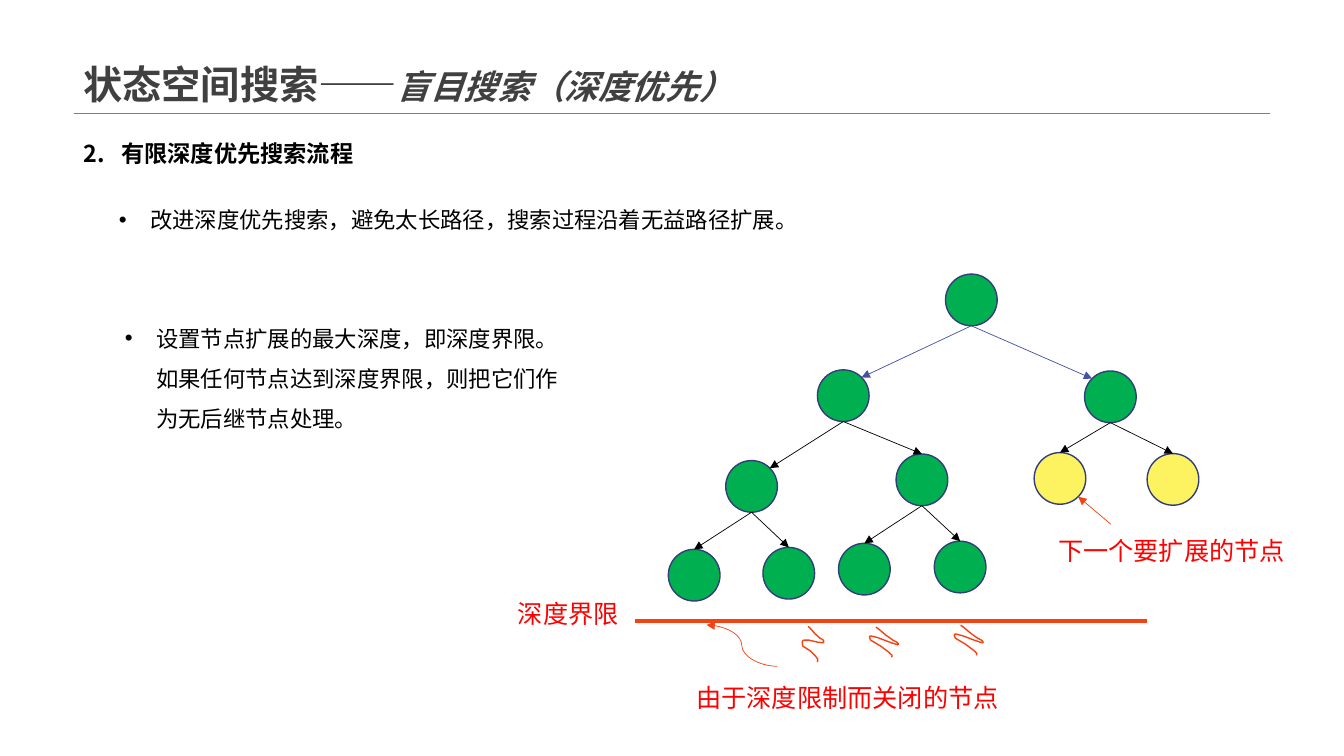
import dataclasses
import math
import typing

import lxml.etree
import pptx
import pptx.dml.color
import pptx.enum.shapes
import pptx.enum.text
import pptx.oxml.ns
import pptx.util

Pt = pptx.util.Pt
qn = pptx.oxml.ns.qn
Anchor = pptx.enum.text.MSO_ANCHOR
Link = pptx.enum.shapes.MSO_CONNECTOR
Point = tuple[float, float]

CJK = "Noto Sans CJK SC"
BLACK, GREY, RED, ORANGE = "000000", "404040", "FF0000", "F44212"
GREEN, YELLOW, NAVY, BLUE = "00B050", "FDF360", "323D79", "4352A3"
SIZE = 36.9  # node diameter


@dataclasses.dataclass
class Run:
    text: str
    size: float
    color: str = BLACK
    bold: bool = False
    slant: bool = False
    font: str = "Arial"


@dataclasses.dataclass
class Box:
    left: float
    top: float
    width: float
    height: float
    runs: list[Run]
    space: float = 1.0
    indent: float = 0
    mark: str = ""
    low: bool = False


@dataclasses.dataclass
class Node:
    left: float
    top: float
    up: str = ""
    side: int = 0  # where the arrow lands: -1 upper left, 0 top, 1 upper right
    fill: str = GREEN
    edge: str = BLACK


class Wave(typing.NamedTuple):
    left: float
    top: float
    width: float
    height: float
    turn: float


def paint(code: str) -> pptx.dml.color.RGBColor:
    return pptx.dml.color.RGBColor.from_string(code)


def add(parent, tag: str, **attrs: str) -> None:
    lxml.etree.SubElement(parent, qn(tag), **attrs)


def write(box: Box) -> None:
    shape = slide.shapes.add_textbox(Pt(box.left), Pt(box.top), Pt(box.width), Pt(box.height))
    frame = shape.text_frame
    frame.word_wrap = True
    if box.low:
        frame.vertical_anchor = Anchor.BOTTOM
    else:
        frame.auto_size = pptx.enum.text.MSO_AUTO_SIZE.SHAPE_TO_FIT_TEXT
    para = frame.paragraphs[0]
    para.line_spacing = box.space
    if box.mark:
        props = para._p.get_or_add_pPr()
        props.set("marL", str(Pt(box.indent)))
        props.set("indent", str(-Pt(box.indent)))
        if box.mark == "•":
            add(props, "a:buFont", typeface="Arial")
            add(props, "a:buChar", char=box.mark)
        else:
            add(props, "a:buFont", typeface=CJK)
            add(props, "a:buAutoNum", type="arabicPeriod", startAt=box.mark)
    for item in box.runs:
        run = para.add_run()
        run.text = item.text
        font = run.font
        font.size, font.bold, font.italic = Pt(item.size), item.bold, item.slant
        font.color.rgb = paint(item.color)
        font.name = item.font
        add(run._r.get_or_add_rPr(), "a:ea", typeface=CJK)


def join(start: Point, end: Point, color: str, width: float = 0.5,
         arrow: bool = True, kind: Link = Link.STRAIGHT) -> None:
    line = slide.shapes.add_connector(kind, *(Pt(v) for v in (*start, *end)))
    line.line.color.rgb = paint(color)
    line.line.width = Pt(width)
    if arrow:
        add(line.line._get_or_add_ln(), "a:tailEnd", type="triangle")
    add(line._element.spPr, "a:effectLst")


def rim(node: Node, angle: float) -> Point:
    """Point on the node's edge, clockwise from the top."""
    half, turn = SIZE / 2, math.radians(angle)
    return (node.left + half + half * math.sin(turn),
            node.top + half - half * math.cos(turn))


def draw(node: Node) -> None:
    oval = slide.shapes.add_shape(pptx.enum.shapes.MSO_SHAPE.OVAL, Pt(node.left),
                                  Pt(node.top), Pt(SIZE), Pt(SIZE))
    oval.shadow.inherit = False
    oval.fill.solid()
    oval.fill.fore_color.rgb = paint(node.fill)
    oval.line.color.rgb = paint(NAVY)
    oval.line.width = Pt(1)


def curl(wave: Wave) -> None:
    spots = [(Pt(wave.left + wave.width * x / 100), Pt(wave.top + wave.height * y / 100))
             for x, y in CURL]
    path = slide.shapes.build_freeform(*spots[0], scale=1.0)
    path.add_line_segments(spots[1:], close=False)
    shape = path.convert_to_shape()
    shape.shadow.inherit = False
    shape.fill.background()
    shape.line.color.rgb = paint(ORANGE)
    shape.line.width = Pt(1)
    shape.rotation = wave.turn


# Squiggle outline, in percent of its box
CURL = [(7, 0), (23, 6), (47, 17), (75, 26), (90, 28), (95, 31), (97, 34.5), (96, 37),
        (90, 38), (70, 40), (49, 40.5), (27, 41), (9, 44), (2, 46), (-1, 50), (1, 56),
        (7, 64), (27, 68), (46, 72), (62, 78), (78, 84), (91, 91), (93, 100)]

WAVES = [Wave(620.6, 450.7, 21.6, 15.8, 22),
         Wave(573.1, 448.6, 15.1, 23, 15),
         Wave(681.1, 449.3, 21.6, 15.8, 22)]

NODES = {
    "root": Node(675.4, 195.8),
    "left": Node(583.9, 264.2, "root", 1, edge=BLUE),
    "right": Node(774.7, 265, "root", -1, edge=BLUE),
    "a": Node(518.4, 329, "left", 1),
    "b": Node(640.1, 324.3, "left"),
    "c": Node(738.7, 323.3, "right", fill=YELLOW),
    "d": Node(819.4, 324, "right", fill=YELLOW),
    "aa": Node(477.4, 392.4, "a"),
    "ab": Node(545, 391, "a"),
    "ba": Node(599, 388.1, "b"),
    "bb": Node(667.4, 386.6, "b"),
}

BOXES = [
    Box(52.6, 0, 854.6, 80.6, [
        Run("状态空间搜索——", 28, GREY, True),
        Run("盲目搜索（深度优先）", 24, GREY, True, True)], 0.9, low=True),
    Box(52.6, 71.3, 213.8, 51.8, [Run("有限深度优先搜索流程", 16.6, bold=True, font=CJK)],
        1.5, 27, "2", True),
    Box(77.8, 144, 627.1, 26.6,
        [Run("改进深度优先搜索，避免太长路径，搜索过程沿着无益路径扩展。", 16)], 1, 22.5, "•"),
    Box(82.1, 218.9, 324.7, 90.7,
        [Run("设置节点扩展的最大深度，即深度界限。如果任何节点达到深度界限，"
             "则把它们作为无后继节点处理。", 16)], 1.5, 22.5, "•"),
    Box(490.3, 483.8, 233.3, 29, [Run("由于深度限制而关闭的节点", 18, RED)]),
    Box(748.8, 378.7, 210, 29, [Run("下一个要扩展的节点", 18, RED)]),
    Box(362.9, 424.1, 88, 29, [Run("深度界限", 18, RED)]),
]

deck = pptx.Presentation()
deck.slide_width, deck.slide_height = Pt(960), Pt(540)
slide = deck.slides.add_slide(deck.slide_layouts[6])

# Heading rule and text
join((52.6, 80.9), (907.2, 80.9), "808080", 0.25, False)
for box in BOXES:
    write(box)

# Search tree
for node in NODES.values():
    draw(node)
for node in NODES.values():
    if node.up:
        join(rim(NODES[node.up], 180), rim(node, 45 * node.side), node.edge)

# Depth limit, pointers and cut branches
join((453.6, 443.5), (819.4, 443.5), ORANGE, 3, False)
join((555.1, 475.9), (504.7, 446.4), ORANGE, kind=Link.CURVE)
join((793.4, 374.4), rim(NODES["c"], 135), ORANGE)
for wave in WAVES:
    curl(wave)

deck.save("out.pptx")
